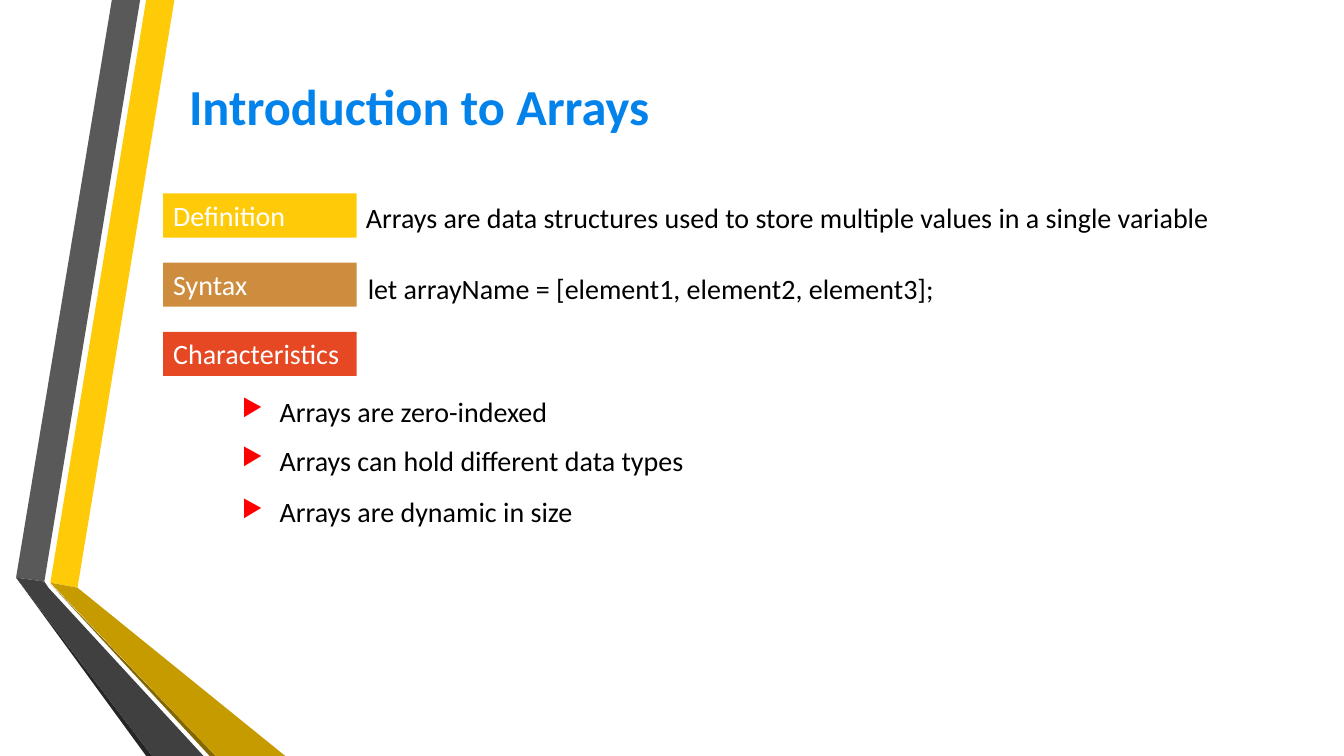
from lxml import etree
from pptx import Presentation
from pptx.dml.color import RGBColor
from pptx.enum import shapes, text
from pptx.oxml import ns
from pptx.util import Pt

COLORS = {
    "yellow": "FFCA08", "gray": "595959", "black": "262626",
    "olive": "846700", "gold": "C59B00", "charcoal": "404040",
    "blue": "0282EB", "bronze": "CE8D3E", "orange": "E64823",
    "red": "FF0000", "white": "FFFFFF", "text": "000000",
}
FONT = "Calibri"
BODY_SIZE = 20
ROW_HEIGHT = 31.5

RIBBONS = [
    ("yellow", [(36, 416.2), (55.4, 419.8), (124.6, 0), (104.4, 0)]),
    ("gray", [(100.1, 0), (79.9, 0), (11.5, 412.6), (31.7, 415.4)]),
    ("black", [(11.5, 412.6), (104.4, 540), (108.7, 540)]),
    ("olive", [(36, 416.9), (149.8, 540), (154.1, 540)]),
    ("gold", [(36, 416.2), (154.1, 540), (203.8, 540), (55.4, 419.8)]),
    ("charcoal", [(145.4, 540), (34.6, 419.8), (31.7, 415.4),
                  (11.5, 412.6), (108.7, 540)]),
]
TITLE = "Introduction to Arrays"
LABELS = [("Definition", "yellow"), ("Syntax", "bronze"), ("Characteristics", "orange")]
LABEL_LEFT, LABEL_TOP, LABEL_WIDTH, LABEL_STEP = 116.6, 138.2, 138.2, 49.4
DETAILS = [
    ("Arrays are data structures used to store multiple values in a single variable",
     (254.2, 139.7, 630), True),
    ("let arrayName = [element1, element2, element3];", (255.6, 190.1, 425.5), False),
]
BULLETS = [
    ("Arrays are zero-indexed", 277.9, 262.8),
    ("Arrays can hold different data types", 313.2, 339.1),
    ("Arrays are dynamic in size", 349.9, 262.8),
]
BULLET_LEFT, BULLET_INDENT = 165.6, 27


def rgb(name):
    return RGBColor.from_string(COLORS[name])


def paint(shape, color):
    shape.shadow.inherit = False
    shape.fill.solid()
    shape.fill.fore_color.rgb = rgb(color)
    shape.line.fill.background()


def write(shape, words, color="text", size=BODY_SIZE, bold=False, wrap=True,
          align=text.PP_ALIGN.LEFT, anchor=text.MSO_ANCHOR.TOP):
    frame = shape.text_frame
    frame.text = words
    frame.word_wrap = wrap
    frame.vertical_anchor = anchor
    paragraph = frame.paragraphs[0]
    paragraph.alignment = align
    font = paragraph.runs[0].font
    font.name, font.size, font.bold = FONT, Pt(size), bold
    font.color.rgb = rgb(color)
    return paragraph


def add_text(slide, box, words, **style):
    shape = slide.shapes.add_textbox(*map(Pt, box))
    return write(shape, words, **style)


def add_bullet(paragraph):
    properties = paragraph._p.get_or_add_pPr()
    properties.set("marL", str(Pt(BULLET_INDENT)))
    properties.set("indent", str(-Pt(BULLET_INDENT)))
    color = etree.SubElement(properties, ns.qn("a:buClr"))
    etree.SubElement(color, ns.qn("a:srgbClr"), val=COLORS["red"])
    etree.SubElement(properties, ns.qn("a:buSzPct"), val="85000")
    etree.SubElement(properties, ns.qn("a:buChar"), char="▶")


def main():
    presentation = Presentation()
    presentation.slide_width, presentation.slide_height = Pt(960), Pt(540)
    slide = presentation.slides.add_slide(presentation.slide_layouts[6])

    for color, points in RIBBONS:
        corners = [(Pt(x), Pt(y)) for x, y in points]
        outline = slide.shapes.build_freeform(*corners[0])
        outline.add_line_segments(corners[1:], close=True)
        paint(outline.convert_to_shape(), color)

    add_text(slide, (116.6, 54, 365.8, 43.2), TITLE, color="blue", size=36, bold=True,
             align=text.PP_ALIGN.CENTER, anchor=text.MSO_ANCHOR.MIDDLE)

    for row, (words, color) in enumerate(LABELS):
        box = (LABEL_LEFT, LABEL_TOP + row * LABEL_STEP, LABEL_WIDTH, ROW_HEIGHT)
        label = slide.shapes.add_shape(shapes.MSO_SHAPE.RECTANGLE, *map(Pt, box))
        paint(label, color)
        write(label, words, color="white")

    for words, (left, top, width), wrap in DETAILS:
        add_text(slide, (left, top, width, ROW_HEIGHT), words, wrap=wrap)

    for words, top, width in BULLETS:
        add_bullet(add_text(slide, (BULLET_LEFT, top, width, ROW_HEIGHT), words))

    presentation.save("out.pptx")


if __name__ == "__main__":
    main()
